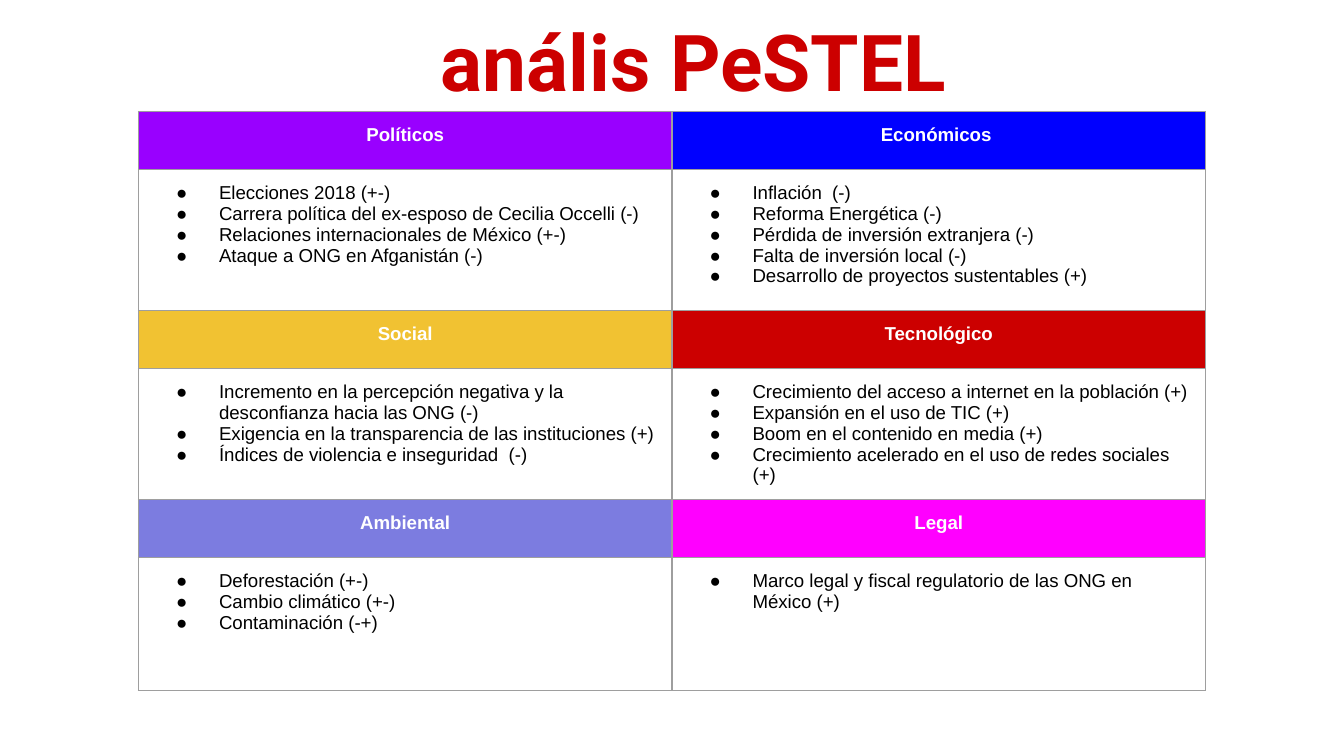
"""Build a one-slide PESTEL analysis as a colour-headed table."""
from dataclasses import dataclass

from lxml import etree
from pptx import Presentation
from pptx.dml.color import RGBColor
from pptx.enum import text
from pptx.oxml import ns
from pptx.util import Inches, Pt


@dataclass(frozen=True)
class Theme:
    title: str = "CC0000"
    heading: str = "FFFFFF"
    body: str = "000000"
    border: str = "9E9E9E"
    title_font: str = "Roboto"
    body_font: str = "Arial"
    title_size: int = 42
    body_size: int = 10
    border_width: float = 0.75


@dataclass(frozen=True)
class Factor:
    name: str
    fill: str
    items: tuple[str, ...]


THEME = Theme()
COLUMNS = 2
COLUMN_WIDTH = 3.97
HEADING_HEIGHT = 0.43
BODY_HEIGHTS = (1.05, 0.94, 0.99)

FACTORS = (
    Factor("Políticos", "9900FF", (
        "Elecciones 2018 (+-)",
        "Carrera política del ex-esposo de Cecilia Occelli (-)",
        "Relaciones internacionales de México (+-)",
        "Ataque a ONG en Afganistán (-)",
    )),
    Factor("Económicos ", "0000FF", (
        "Inflación  (-)",
        "Reforma Energética (-)",
        "Pérdida de inversión extranjera (-)",
        "Falta de inversión local (-)",
        "Desarrollo de proyectos sustentables (+)",
    )),
    Factor("Social", "F1C232", (
        "Incremento en la percepción negativa y la desconfianza hacia las ONG (-)",
        "Exigencia en la transparencia de las instituciones (+)",
        "Índices de violencia e inseguridad  (-)",
    )),
    Factor("Tecnológico", "CC0000", (
        "Crecimiento del acceso a internet en la población (+)",
        "Expansión en el uso de TIC (+)",
        "Boom en el contenido en media (+)",
        "Crecimiento acelerado en el uso de redes sociales (+)",
    )),
    Factor("Ambiental", "7C7CE0", (
        "Deforestación (+-)",
        "Cambio climático (+-)",
        "Contaminación (-+)",
    )),
    Factor("Legal", "FF00FF", (
        "Marco legal y fiscal regulatorio de las ONG en México (+)",
    )),
)


def add_run(p, content: str, font: str, size: int, color: str, bold: bool) -> None:
    """Append a formatted run to a paragraph."""
    r = p.add_run()
    r.text = content
    r.font.name = font
    r.font.size = Pt(size)
    r.font.bold = bold
    r.font.color.rgb = RGBColor.from_string(color)


def set_margins(target) -> None:
    """Give a cell or text frame equal inner margins."""
    target.margin_left = target.margin_right = Inches(0.1)
    target.margin_top = target.margin_bottom = Inches(0.1)


def add_color(parent, tag: str, color: str) -> None:
    """Append a colour element holding an RGB value."""
    holder = etree.SubElement(parent, ns.qn(tag))
    etree.SubElement(holder, ns.qn("a:srgbClr"), val=color)


def set_bullet(p) -> None:
    """Turn a paragraph into a bulleted one with a hanging indent."""
    ppr = p._p.get_or_add_pPr()
    ppr.set("marL", str(Inches(0.5)))
    ppr.set("indent", str(Inches(-0.32)))
    add_color(ppr, "a:buClr", THEME.body)
    etree.SubElement(ppr, ns.qn("a:buFont"), typeface=THEME.body_font)
    etree.SubElement(ppr, ns.qn("a:buChar"), char="●")


def format_cell(cell) -> None:
    """Set the margins, anchor and borders of a cell."""
    set_margins(cell)
    cell.vertical_anchor = text.MSO_ANCHOR.TOP
    tcpr = cell._tc.get_or_add_tcPr()
    for side in ("a:lnL", "a:lnR", "a:lnT", "a:lnB"):
        line = etree.SubElement(tcpr, ns.qn(side), w=str(Pt(THEME.border_width)))
        add_color(line, "a:solidFill", THEME.border)


def fill_heading(cell, factor: Factor) -> None:
    """Write the name of a factor on its colour."""
    format_cell(cell)
    cell.fill.solid()
    cell.fill.fore_color.rgb = RGBColor.from_string(factor.fill)
    p = cell.text_frame.paragraphs[0]
    p.alignment = text.PP_ALIGN.CENTER
    add_run(p, factor.name, THEME.body_font, THEME.body_size, THEME.heading, True)


def fill_body(cell, factor: Factor) -> None:
    """Write the bulleted items of a factor."""
    format_cell(cell)
    cell.fill.background()
    tf = cell.text_frame
    for i, item in enumerate(factor.items):
        p = tf.add_paragraph() if i else tf.paragraphs[0]
        set_bullet(p)
        add_run(p, item, THEME.body_font, THEME.body_size, THEME.body, False)


def add_title(slide, content: str) -> None:
    """Place and write the slide title."""
    sp = slide.shapes.title
    sp.left, sp.top = Inches(0.5), Inches(0)
    sp.width, sp.height = Inches(9.32), Inches(0.88)
    tf = sp.text_frame
    set_margins(tf)
    tf.word_wrap = True
    tf.auto_size = text.MSO_AUTO_SIZE.NONE
    tf.vertical_anchor = text.MSO_ANCHOR.TOP
    p = tf.paragraphs[0]
    p.alignment = text.PP_ALIGN.CENTER
    add_run(p, content, THEME.title_font, THEME.title_size, THEME.title, True)


def add_factor_table(slide, factors: tuple[Factor, ...]) -> None:
    """Lay out the factors in pairs of heading and body rows."""
    heights = [h for body in BODY_HEIGHTS for h in (HEADING_HEIGHT, body)]
    table = slide.shapes.add_table(
        len(heights), COLUMNS, Inches(1.03), Inches(0.83),
        Inches(COLUMNS * COLUMN_WIDTH), Inches(sum(heights)),
    ).table
    table.first_row = table.horz_banding = False
    for column in table.columns:
        column.width = Inches(COLUMN_WIDTH)
    for row, height in zip(table.rows, heights):
        row.height = Inches(height)
    for i, factor in enumerate(factors):
        pair, col = divmod(i, COLUMNS)
        fill_heading(table.cell(2 * pair, col), factor)
        fill_body(table.cell(2 * pair + 1, col), factor)


def main() -> None:
    """Create and save the presentation."""
    prs = Presentation()
    prs.slide_width = Inches(10)
    prs.slide_height = Inches(10 * 9 / 16)
    slide = prs.slides.add_slide(prs.slide_layouts.get_by_name("Title Only"))
    add_title(slide, "anális PeSTEL")
    add_factor_table(slide, FACTORS)
    prs.save("out.pptx")


if __name__ == "__main__":
    main()
